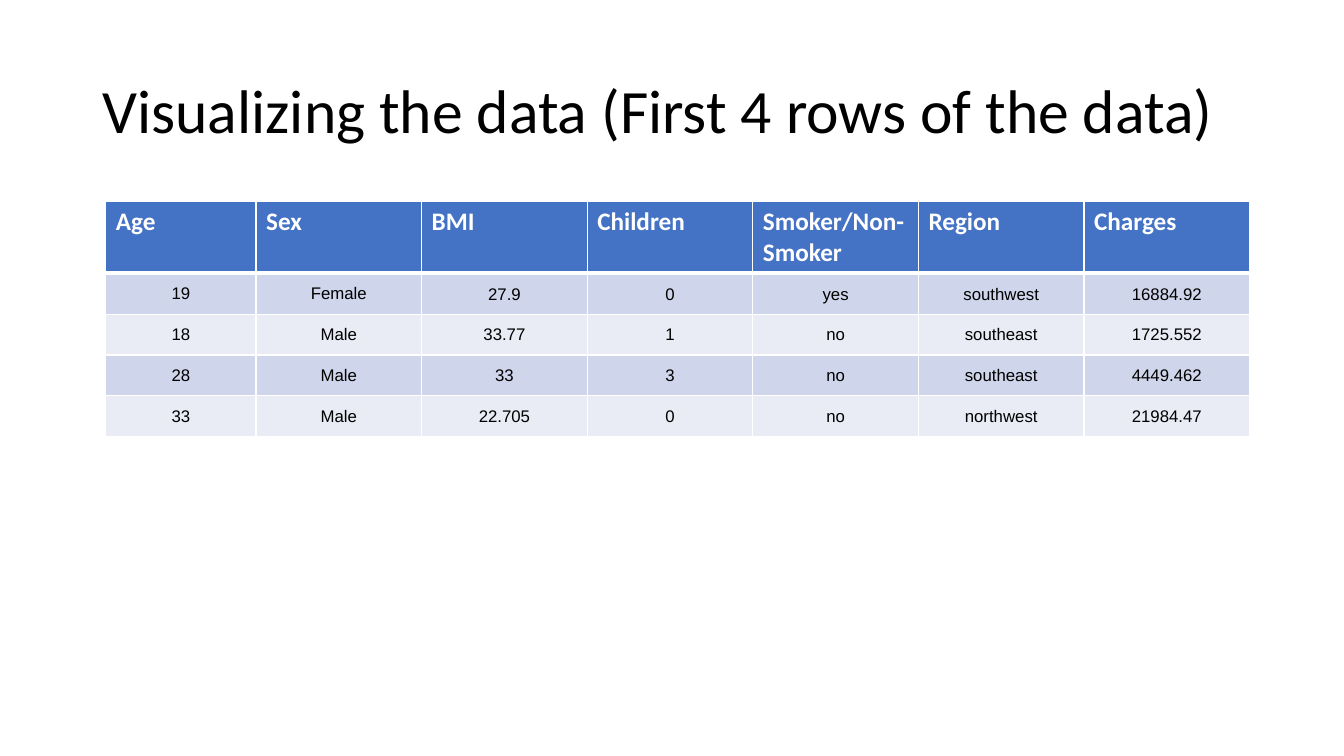
from dataclasses import dataclass

from lxml import etree
from pptx import Presentation
from pptx.dml.color import RGBColor
from pptx.enum.text import MSO_ANCHOR, MSO_AUTO_SIZE, PP_ALIGN
from pptx.oxml.ns import qn
from pptx.slide import Slide
from pptx.table import _Cell
from pptx.text.text import TextFrame
from pptx.util import Pt

LEFT, CENTER = PP_ALIGN.LEFT, PP_ALIGN.CENTER
TOP, MIDDLE = MSO_ANCHOR.TOP, MSO_ANCHOR.MIDDLE
NO_AUTOFIT = MSO_AUTO_SIZE.NONE

BLACK = RGBColor(0x00, 0x00, 0x00)
WHITE = RGBColor(0xFF, 0xFF, 0xFF)
HEADER_BLUE = RGBColor(0x44, 0x72, 0xC4)
BAND_DARK = RGBColor(0xCF, 0xD5, 0xEA)
BAND_LIGHT = RGBColor(0xE9, 0xEB, 0xF5)

TITLE = "Visualizing the data (First 4 rows of the data)"
HEADERS = ("Age", "Sex", "BMI", "Children", "Smoker/Non-Smoker", "Region", "Charges")
TABLE_LEFT, TABLE_TOP = 75.6, 144
AGE_WIDTH, COLUMN_WIDTH = 107.3, 118.3
HEADER_HEIGHT, ROW_HEIGHT = 50.4, 29.2
THIN, THICK = 1, 3
WIDE_MARGINS = (7.2, 3.6, 7.2, 3.6)
TIGHT_MARGINS = (0.72, 0.72, 0.72, 0)
PADDED_COLUMNS = 2


@dataclass(frozen=True)
class Patient:
    age: str
    sex: str
    bmi: str
    children: str
    smoker: str
    region: str
    charges: str

    def values(self) -> tuple[str, ...]:
        return (self.age, self.sex, self.bmi, self.children,
                self.smoker, self.region, self.charges)


PATIENTS = (
    Patient("19", "Female", "27.9", "0", "yes", "southwest", "16884.92"),
    Patient("18", "Male", "33.77", "1", "no", "southeast", "1725.552"),
    Patient("28", "Male", "33", "3", "no", "southeast", "4449.462"),
    Patient("33", "Male", "22.705", "0", "no", "northwest", "21984.47"),
)


def write_text(frame: TextFrame, text: str, *, size: float, font: str,
               color: RGBColor, bold: bool = False, align: PP_ALIGN = LEFT,
               spacing: float = 1.0) -> None:
    para = frame.paragraphs[0]
    para.alignment = align
    para.line_spacing = spacing
    span = para.add_run()
    span.text = text
    span.font.size = Pt(size)
    span.font.name = font
    span.font.bold = bold
    span.font.color.rgb = color


def set_borders(cell: _Cell, top: float, bottom: float) -> None:
    properties = cell._tc.get_or_add_tcPr()
    widths = {"a:lnL": THIN, "a:lnR": THIN, "a:lnT": top, "a:lnB": bottom}
    for tag, width in widths.items():
        line = etree.SubElement(properties, qn(tag), w=str(Pt(width)))
        fill = etree.SubElement(line, qn("a:solidFill"))
        etree.SubElement(fill, qn("a:srgbClr"), val=str(WHITE))


def style_cell(cell: _Cell, fill: RGBColor, *, anchor: MSO_ANCHOR,
               margins: tuple[float, ...], top: float, bottom: float) -> None:
    set_borders(cell, top, bottom)
    cell.fill.solid()
    cell.fill.fore_color.rgb = fill
    cell.vertical_anchor = anchor
    (cell.margin_left, cell.margin_top,
     cell.margin_right, cell.margin_bottom) = map(Pt, margins)


def add_title(page: Slide) -> None:
    title = page.shapes.title
    title.left, title.top, title.width, title.height = map(Pt, (66, 28.75, 828, 104.4))
    frame = title.text_frame
    frame.auto_size = NO_AUTOFIT
    frame.word_wrap = True
    frame.vertical_anchor = MIDDLE
    write_text(frame, TITLE, size=44, font="Calibri", color=BLACK, spacing=0.9)


def add_patient_table(page: Slide) -> None:
    widths = [AGE_WIDTH] + [COLUMN_WIDTH] * (len(HEADERS) - 1)
    heights = [HEADER_HEIGHT] + [ROW_HEIGHT] * len(PATIENTS)
    table = page.shapes.add_table(
        len(heights), len(widths), Pt(TABLE_LEFT), Pt(TABLE_TOP),
        Pt(sum(widths)), Pt(sum(heights))).table
    for column, width in zip(table.columns, widths):
        column.width = Pt(width)
    for row, height in zip(table.rows, heights):
        row.height = Pt(height)

    for index, header in enumerate(HEADERS):
        cell = table.cell(0, index)
        style_cell(cell, HEADER_BLUE, anchor=TOP, margins=WIDE_MARGINS,
                   top=THIN, bottom=THICK)
        write_text(cell.text_frame, header, size=18, font="Calibri",
                   color=WHITE, bold=True)

    for number, patient in enumerate(PATIENTS, start=1):
        for index, value in enumerate(patient.values()):
            cell = table.cell(number, index)
            style_cell(cell, BAND_DARK if number % 2 else BAND_LIGHT, anchor=MIDDLE,
                       margins=WIDE_MARGINS if index < PADDED_COLUMNS else TIGHT_MARGINS,
                       top=THICK if number == 1 else THIN, bottom=THIN)
            write_text(cell.text_frame, value, size=12, font="Arial",
                       color=BLACK, align=CENTER)


def main() -> None:
    deck = Presentation()
    deck.slide_width, deck.slide_height = Pt(960), Pt(540)
    page = deck.slides.add_slide(deck.slide_layouts[5])
    add_title(page)
    add_patient_table(page)
    deck.save("out.pptx")


if __name__ == "__main__":
    main()
